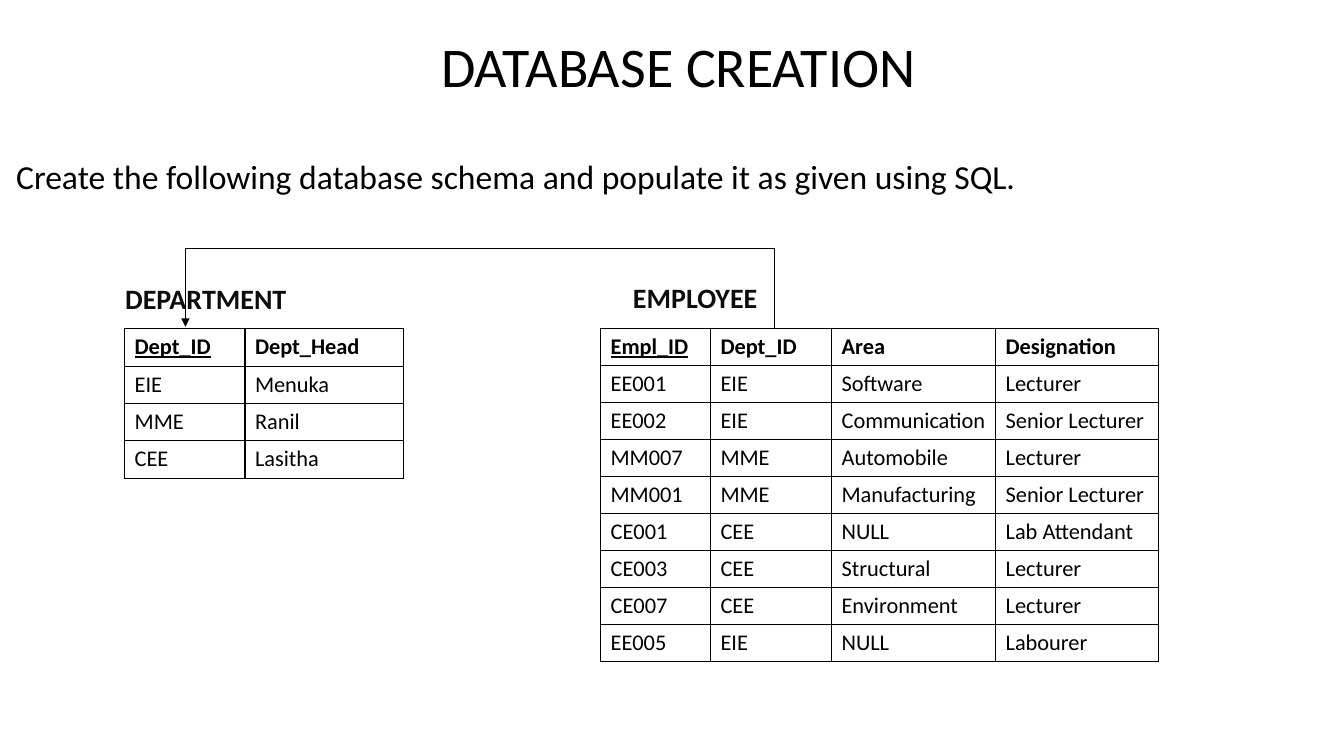
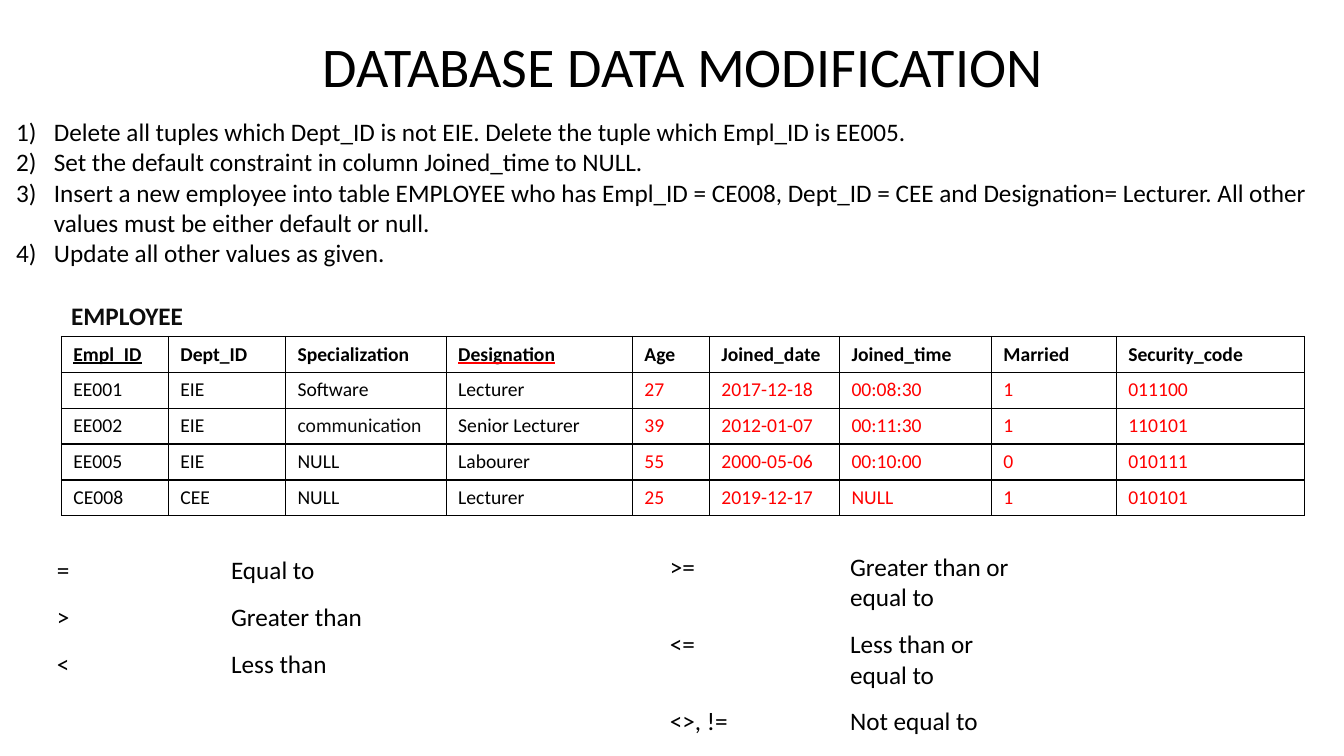
import dataclasses
import typing

import lxml.etree
import pptx
import pptx.dml.color
import pptx.enum.shapes
import pptx.enum.text
import pptx.oxml.ns
import pptx.util

Pt = pptx.util.Pt
RGB = pptx.dml.color.RGBColor
qn = pptx.oxml.ns.qn


@dataclasses.dataclass(frozen=True)
class Theme:
    font: str = "Calibri"
    black: RGB = RGB(0, 0, 0)
    label: RGB = RGB(0x0D, 0x0D, 0x0D)
    accent: RGB = RGB(0xFF, 0, 0)
    title: float = 40
    lead: float = 24
    heading: float = 20
    body: float = 18
    cell: float = 16
    small: float = 14
    blank: float = 12
    border: float = 1
    link: float = 0.5


THEME = Theme()
BLANK_ROW_HEIGHT = 16


class Box(typing.NamedTuple):
    left: float
    top: float
    width: float
    height: float


class Segment(typing.NamedTuple):
    x1: float
    y1: float
    x2: float
    y2: float
    arrow: bool = False


class Label(typing.NamedTuple):
    text: str
    box: Box
    size: float


@dataclasses.dataclass(frozen=True)
class Grid:
    left: float
    top: float
    columns: list[float]
    row_height: float
    rows: list[list[str]]
    size: float
    margins: tuple[float, float] = (7.2, 3.4)
    first_margin: float | None = None
    ruled: bool = True
    header: bool = True
    key: str = ""
    flagged: str = ""
    accent_from: int = 99
    soft: str = ""


def style(p, size: float, color: RGB = THEME.black, bold: bool = False):
    p.font.name = THEME.font
    p.font.size = Pt(size)
    p.font.bold = bold
    p.font.color.rgb = color
    return p._p.pPr.find(qn("a:defRPr"))


def add_solid(parent, color: RGB) -> None:
    fill = lxml.etree.SubElement(parent, qn("a:solidFill"))
    lxml.etree.SubElement(fill, qn("a:srgbClr"), val=str(color))


def place(sp, box: Box) -> None:
    sp.left, sp.top, sp.width, sp.height = map(Pt, box)


def add_title(slide, text: str, box: Box) -> None:
    sp = slide.shapes.title
    place(sp, box)
    tf = sp.text_frame
    tf.text = text
    tf.auto_size = pptx.enum.text.MSO_AUTO_SIZE.NONE
    tf.vertical_anchor = pptx.enum.text.MSO_ANCHOR.BOTTOM
    p = tf.paragraphs[0]
    p.alignment = pptx.enum.text.PP_ALIGN.CENTER
    p.line_spacing = 0.9
    style(p, THEME.title)


def add_body(slide, lines: list[str], box: Box, size: float, numbered: bool = False) -> None:
    sp = slide.placeholders[1]
    place(sp, box)
    tf = sp.text_frame
    tf.text = "\n".join(lines)
    tf.auto_size = pptx.enum.text.MSO_AUTO_SIZE.NONE
    indent = Pt(27) if numbered else 0
    for p in tf.paragraphs:
        p.space_before = Pt(0)
        rpr = style(p, size)
        ppr = p._p.pPr
        ppr.set("marL", str(indent))
        ppr.set("indent", str(-indent))
        if numbered:
            font = lxml.etree.Element(qn("a:buFont"), typeface="+mj-lt")
            rpr.addprevious(font)
            bullet = lxml.etree.Element(qn("a:buAutoNum"), type="arabicParenR")
        else:
            bullet = lxml.etree.Element(qn("a:buNone"))
        rpr.addprevious(bullet)


def add_label(slide, label: Label) -> None:
    sp = slide.shapes.add_textbox(*map(Pt, label.box))
    tf = sp.text_frame
    tf.word_wrap = True
    tf.text = label.text
    style(tf.paragraphs[0], label.size, THEME.label, bold=True)


def add_segment(slide, seg: Segment) -> None:
    ends = map(Pt, (seg.x1, seg.y1, seg.x2, seg.y2))
    sp = slide.shapes.add_connector(pptx.enum.shapes.MSO_CONNECTOR.STRAIGHT, *ends)
    sp.line.color.rgb = THEME.black
    sp.line.width = Pt(THEME.link)
    if seg.arrow:
        lxml.etree.SubElement(sp.line._ln, qn("a:tailEnd"), type="triangle")
    lxml.etree.SubElement(sp._element.spPr, qn("a:effectLst"))


def set_borders(cell, ruled: bool) -> None:
    tcpr = cell._tc.get_or_add_tcPr()
    for i, side in enumerate(("lnL", "lnR", "lnT", "lnB")):
        ln = lxml.etree.Element(qn(f"a:{side}"), w=str(Pt(THEME.border)))
        if ruled:
            add_solid(ln, THEME.black)
        else:
            lxml.etree.SubElement(ln, qn("a:noFill"))
        tcpr.insert(i, ln)


def fill_cell(cell, text: str, grid: Grid, row: int, col: int) -> None:
    cell.fill.background()
    set_borders(cell, grid.ruled)
    p = cell.text_frame.paragraphs[0]
    if not text:
        cell.margin_top = cell.margin_bottom = 0
        lxml.etree.SubElement(p._p, qn("a:endParaRPr"), sz=str(THEME.blank * 100))
        return
    side, edge = grid.margins
    indented = col == 0 and grid.first_margin is not None
    cell.margin_left = Pt(grid.first_margin if indented else side)
    cell.margin_right = Pt(side)
    cell.margin_top = cell.margin_bottom = Pt(edge)
    is_header = grid.header and row == 0
    color = THEME.black
    if not is_header and col >= grid.accent_from:
        color = THEME.accent
    elif text == grid.soft:
        color = THEME.label
    p.text = text
    rpr = style(p, grid.size, color, is_header)
    if is_header and text in (grid.key, grid.flagged):
        p.font.underline = True
        if text == grid.flagged:
            underline = lxml.etree.Element(qn("a:uFill"))
            add_solid(underline, THEME.accent)
            rpr.find(qn("a:latin")).addprevious(underline)


def add_grid(slide, grid: Grid) -> None:
    heights = [grid.row_height if any(row) else BLANK_ROW_HEIGHT for row in grid.rows]
    box = Box(grid.left, grid.top, sum(grid.columns), sum(heights))
    frame = slide.shapes.add_table(len(heights), len(grid.columns), *map(Pt, box))
    table = frame.table
    table.first_row = table.horz_banding = False
    for column, width in zip(table.columns, grid.columns):
        column.width = Pt(width)
    for r, texts in enumerate(grid.rows):
        table.rows[r].height = Pt(heights[r])
        for c, text in enumerate(texts):
            fill_cell(table.cell(r, c), text, grid, r, c)


def add_creation_slide(prs) -> None:
    slide = prs.slides.add_slide(prs.slide_layouts[1])
    add_title(slide, "DATABASE CREATION", Box(9, 0, 951, 75))
    lead = "Create the following database schema and populate it as given using SQL."
    add_body(slide, [lead], Box(4.3, 108, 945, 36), THEME.lead)
    department = [
        ["Dept_ID", "Dept_Head"],
        ["EIE", "Menuka"],
        ["MME", "Ranil"],
        ["CEE", "Lasitha"],
    ]
    employee = [
        ["Empl_ID", "Dept_ID", "Area", "Designation"],
        ["EE001", "EIE", "Software", "Lecturer"],
        ["EE002", "EIE", "Communication", "Senior Lecturer"],
        ["MM007", "MME", "Automobile", "Lecturer"],
        ["MM001", "MME", "Manufacturing", "Senior Lecturer"],
        ["CE001", "CEE", "NULL", "Lab Attendant"],
        ["CE003", "CEE", "Structural", "Lecturer"],
        ["CE007", "CEE", "Environment", "Lecturer"],
        ["EE005", "EIE", "NULL", "Labourer"],
    ]
    top = 234.9
    add_grid(slide, Grid(89, top, [86, 113], 26.7, department, THEME.cell, key="Dept_ID"))
    add_grid(slide, Grid(429, top, [78.5, 86.5, 117.2, 116.3], 26.4, employee,
                         THEME.cell, key="Empl_ID"))
    add_label(slide, Label("DEPARTMENT", Box(82.3, 197.3, 145.5, 31.5), THEME.heading))
    add_label(slide, Label("EMPLOYEE", Box(445, 196.6, 145.5, 31.5), THEME.heading))
    target, source, bend = 132.5, 553.4, 177.1
    for seg in (
        Segment(target, bend, target, top - 1.5, arrow=True),
        Segment(source, bend, source, top),
        Segment(source, bend, target, bend),
    ):
        add_segment(slide, seg)


def add_modification_slide(prs) -> None:
    slide = prs.slides.add_slide(prs.slide_layouts[1])
    add_title(slide, "DATABASE DATA MODIFICATION", Box(4.6, 0, 966, 75))
    tasks = [
        "Delete all tuples which Dept_ID is not EIE. Delete the tuple which Empl_ID is EE005.",
        "Set the default constraint in column Joined_time to NULL.",
        "Insert a new employee into table EMPLOYEE who has Empl_ID = CE008, Dept_ID = CEE "
        "and Designation= Lecturer. All other values must be either default or null.",
        "Update all other values as given.",
    ]
    add_body(slide, tasks, Box(4.3, 79.6, 955.5, 138), THEME.body, numbered=True)
    add_label(slide, Label("EMPLOYEE", Box(43.7, 211, 145.5, 29), THEME.body))
    employee = [
        ["Empl_ID", "Dept_ID", "Specialization", "Designation", "Age",
         "Joined_date", "Joined_time", "Married", "Security_code"],
        ["EE001", "EIE", "Software", "Lecturer", "27",
         "2017-12-18", "00:08:30", "1", "011100"],
        ["EE002", "EIE", "communication", "Senior Lecturer", "39",
         "2012-01-07", "00:11:30", "1", "110101"],
        ["EE005", "EIE", "NULL", "Labourer", "55",
         "2000-05-06", "00:10:00", "0", "010111"],
        ["CE008", "CEE", "NULL", "Lecturer", "25",
         "2019-12-17", "NULL", "1", "010101"],
    ]
    widths = [76.5, 83.7, 114.8, 133, 55, 93, 108.5, 89.2, 134]
    add_grid(slide, Grid(44, 240.4, widths, 25.6, employee, THEME.small,
                         margins=(8.4, 4.2), key="Empl_ID",
                         flagged="Designation", accent_from=4, soft="communication"))
    simple = [["=", "Equal to", ""], [">", "Greater than", ""], ["<", "Less than", ""]]
    simple += [[""] * 3] * 3
    compound = [
        [">=", "Greater than or equal to"],
        ["<=", "Less than or equal to"],
        ["<>, !=", "Not equal to"],
    ]
    for left, top, width, rows in ((28.6, 391, 130.5, simple), (466.4, 388.4, 134.8, compound)):
        add_grid(slide, Grid(left, top, [width] * len(rows[0]), 33, rows, THEME.body,
                             margins=(6, 6), first_margin=12, ruled=False, header=False))


def main() -> None:
    prs = pptx.Presentation()
    prs.slide_width, prs.slide_height = Pt(960), Pt(540)
    add_creation_slide(prs)
    add_modification_slide(prs)
    prs.save("out.pptx")


if __name__ == "__main__":
    main()
